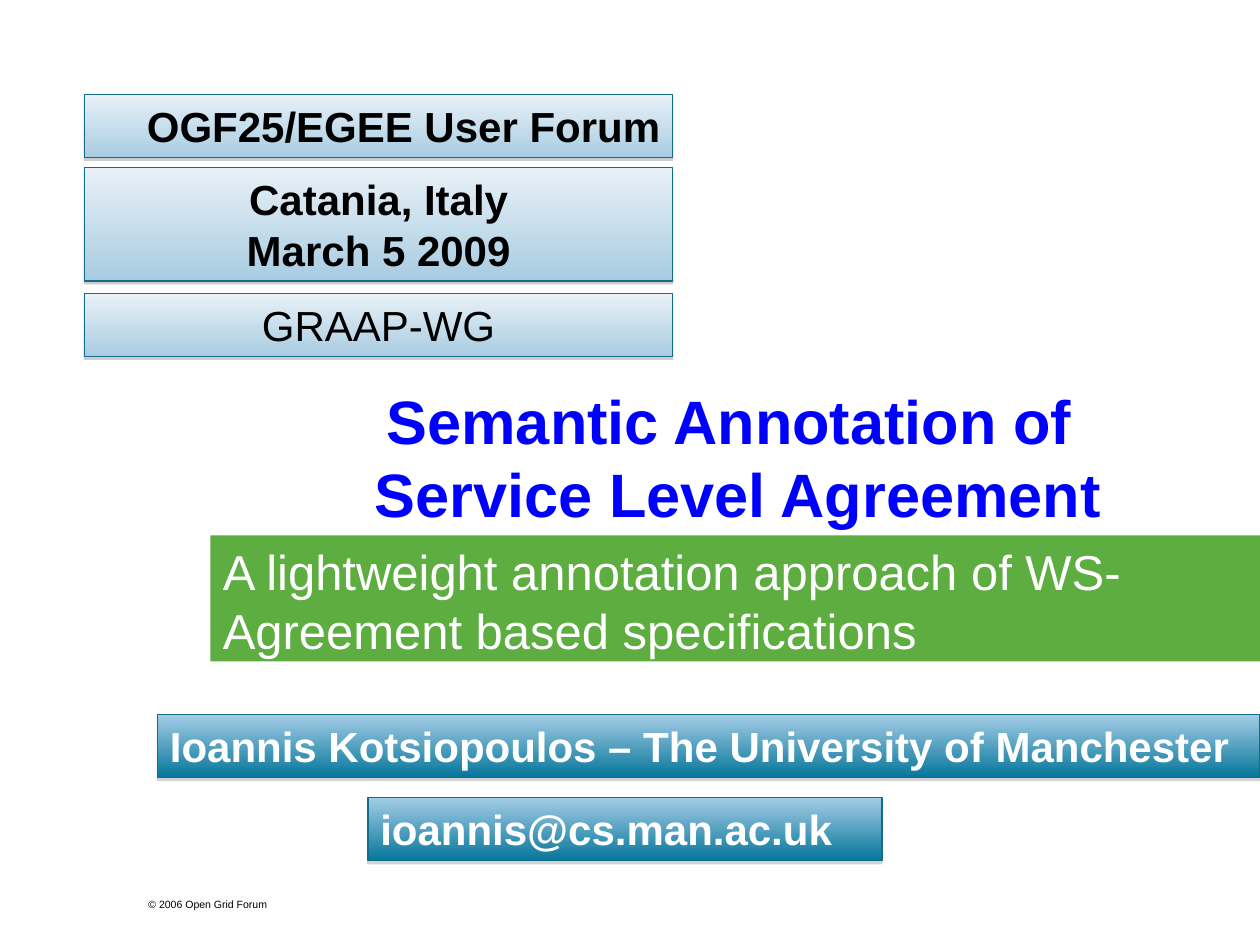
"""Build the opening slide of a talk on annotating service level agreements."""
from dataclasses import dataclass

from lxml.etree import SubElement
from pptx import Presentation
from pptx.dml.color import RGBColor
from pptx.enum.shapes import MSO_SHAPE
from pptx.enum.text import MSO_ANCHOR, MSO_AUTO_SIZE, PP_ALIGN
from pptx.oxml.ns import qn
from pptx.shapes.autoshape import Shape
from pptx.slide import Slide
from pptx.util import Inches, Pt

BLACK = RGBColor(0x00, 0x00, 0x00)
WHITE = RGBColor(0xFF, 0xFF, 0xFF)
TITLE_BLUE = RGBColor(0x00, 0x00, 0xFF)
BAND_GREEN = RGBColor(0x5D, 0xAD, 0x41)
OUTLINE = RGBColor(0x13, 0x6C, 0x89)
SHADOW_GRAY = RGBColor(0x80, 0x80, 0x80)
FONT = "Arial"


@dataclass(frozen=True)
class PanelStyle:
    top_color: RGBColor
    bottom_color: RGBColor
    text_color: RGBColor
    shadow_alpha: int
    shadow_distance: float


@dataclass(frozen=True)
class Panel:
    text: str
    left: float
    top: float
    width: float
    height: float
    style: PanelStyle
    align: PP_ALIGN
    bold: bool = True


PALE = PanelStyle(RGBColor(0xE8, 0xF1, 0xF7), RGBColor(0xA9, 0xCC, 0xE2), BLACK, 38, 1.6)
DEEP = PanelStyle(RGBColor(0xA5, 0xCD, 0xE7), RGBColor(0x06, 0x76, 0x9A), WHITE, 35, 1.8)

PANELS = [
    Panel("Ioannis Kotsiopoulos – The University of Manchester",
          1.25, 5.67, 8.75, 0.5, DEEP, PP_ALIGN.LEFT),
    Panel("ioannis@cs.man.ac.uk", 2.92, 6.33, 4.08, 0.5, DEEP, PP_ALIGN.LEFT),
    Panel("OGF25/EGEE User Forum", 0.67, 0.75, 4.67, 0.5, PALE, PP_ALIGN.RIGHT),
    Panel("Catania, Italy\nMarch 5 2009", 0.67, 1.33, 4.67, 0.9, PALE, PP_ALIGN.CENTER),
    Panel("GRAAP-WG", 0.67, 2.33, 4.67, 0.5, PALE, PP_ALIGN.CENTER, bold=False),
]


def write(box: Shape, text: str, size: float, color: RGBColor,
          align: PP_ALIGN = PP_ALIGN.LEFT, bold: bool = False,
          anchor: MSO_ANCHOR = MSO_ANCHOR.TOP) -> None:
    frame = box.text_frame
    frame.text = text
    frame.word_wrap = True
    frame.auto_size = MSO_AUTO_SIZE.NONE
    frame.vertical_anchor = anchor
    for para in frame.paragraphs:
        para.alignment = align
        for span in para.runs:
            span.font.name = FONT
            span.font.size = Pt(size)
            span.font.bold = bold
            span.font.color.rgb = color


def add_rectangle(page: Slide, left: float, top: float, width: float, height: float) -> Shape:
    box = page.shapes.add_shape(MSO_SHAPE.RECTANGLE, Inches(left), Inches(top),
                                Inches(width), Inches(height))
    box.shadow.inherit = False
    return box


def add_drop_shadow(box: Shape, style: PanelStyle) -> None:
    effects = box.element.spPr.find(qn("a:effectLst"))
    shadow = SubElement(effects, qn("a:outerShdw"), blurRad="0",
                        dist=str(Pt(style.shadow_distance)), dir="5400000", rotWithShape="0")
    color = SubElement(shadow, qn("a:srgbClr"), val=str(SHADOW_GRAY))
    SubElement(color, qn("a:alpha"), val=str(style.shadow_alpha * 1000))


def add_panel(page: Slide, panel: Panel) -> None:
    style = panel.style
    box = add_rectangle(page, panel.left, panel.top, panel.width, panel.height)
    box.fill.gradient()
    box.fill.gradient_angle = 270
    for stop, color in zip(box.fill.gradient_stops, (style.top_color, style.bottom_color)):
        stop.color.rgb = color
    box.line.color.rgb = OUTLINE
    box.line.width = Pt(0.75)
    add_drop_shadow(box, style)
    write(box, panel.text, 24, style.text_color, panel.align, panel.bold)


def add_title(page: Slide) -> None:
    title = page.shapes.title
    title.left, title.top = Inches(1.58), Inches(3)
    title.width, title.height = Inches(8.42), Inches(1.25)
    write(title, "Semantic Annotation of\v Service Level Agreement", 35, TITLE_BLUE,
          PP_ALIGN.CENTER, bold=True, anchor=MSO_ANCHOR.MIDDLE)


def add_subtitle(page: Slide) -> None:
    band = add_rectangle(page, 1.67, 4.25, 8.33, 1)
    band.fill.solid()
    band.fill.fore_color.rgb = BAND_GREEN
    band.line.fill.background()
    write(band, "A lightweight annotation approach of WS-Agreement based specifications", 28, WHITE)


def add_copyright(page: Slide) -> None:
    box = page.shapes.add_textbox(Inches(1.08), Inches(7.08), Inches(1.5), Inches(0.2))
    write(box, "© 2006 Open Grid Forum", 6, BLACK)


def main() -> None:
    deck = Presentation()
    deck.slide_width, deck.slide_height = Inches(10), Inches(7.5)
    page = deck.slides.add_slide(deck.slide_layouts.get_by_name("Title Only"))
    add_copyright(page)
    add_title(page)
    add_subtitle(page)
    for panel in PANELS:
        add_panel(page, panel)
    deck.save("out.pptx")


if __name__ == "__main__":
    main()
